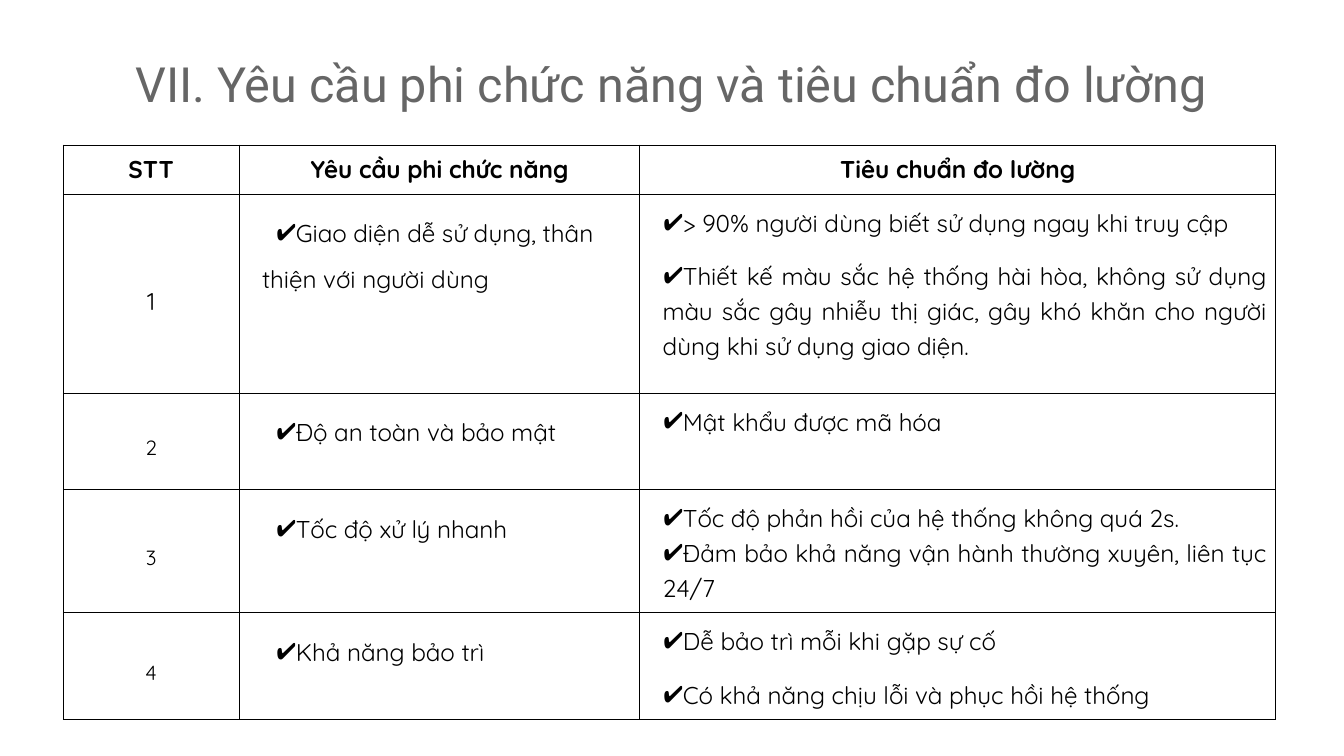
from dataclasses import dataclass

from lxml.etree import SubElement
from pptx import Presentation
from pptx.dml.color import RGBColor
from pptx.enum.text import MSO_ANCHOR, PP_ALIGN
from pptx.oxml.ns import qn
from pptx.util import Inches, Pt


@dataclass(frozen=True)
class Theme:
    title_font: str = "Roboto"
    body_font: str = "Quicksand"
    title_color: str = "666666"
    text_color: str = "000000"
    title_size: float = 26
    body_size: float = 13
    number_size: float = 11
    bullet_percent: int = 120
    border_width: float = 0.5
    cell_margin: float = 0.07


THEME = Theme()
SLIDE_WIDTH = 10
SLIDE_HEIGHT = SLIDE_WIDTH * 9 / 16
COLUMNS = (1.31, 2.98, 4.73)
ROWS = (0.35, 1.48, 0.72, 0.86, 0.75)

TITLE = "VII. Yêu cầu phi chức năng và tiêu chuẩn đo lường"
HEADERS = ("STT", "Yêu cầu phi chức năng", "Tiêu chuẩn đo lường")

# Requirement, its measures, and the gap in points between the measures
REQUIREMENTS = (
    ("Giao diện dễ sử dụng, thân thiện với người dùng",
     ("> 90% người dùng biết sử dụng ngay khi truy cập",
      "Thiết kế màu sắc hệ thống hài hòa, không sử dụng màu sắc gây nhiễu "
      "thị giác, gây khó khăn cho người dùng khi sử dụng giao diện."), 10),
    ("Độ an toàn và bảo mật", ("Mật khẩu được mã hóa ",), 0),
    ("Tốc độ xử lý nhanh",
     ("Tốc độ phản hồi của hệ thống không quá 2s.",
      "Đảm bảo khả năng vận hành thường xuyên, liên tục 24/7"), 0),
    ("Khả năng bảo trì",
     ("Dễ bảo trì mỗi khi gặp sự cố",
      "Có khả năng chịu lỗi và phục hồi hệ thống"), 10),
)

# Paragraph formats by column role
HEADER = {"alignment": PP_ALIGN.CENTER}
NUMBER = {"alignment": PP_ALIGN.CENTER, "line_spacing": 1.5}
REQUIREMENT = {"alignment": PP_ALIGN.LEFT, "line_spacing": 1.5}
MEASURE = {"alignment": PP_ALIGN.JUSTIFY, "line_spacing": 1.15}


def apply(target, values):
    for name, value in values.items():
        setattr(target, name, value)


def set_margins(target, horizontal, vertical):
    apply(target, {"margin_left": Inches(horizontal), "margin_right": Inches(horizontal),
                   "margin_top": Inches(vertical), "margin_bottom": Inches(vertical)})


def write(paragraph, text, form, font, size, color, bold=False):
    apply(paragraph, form)
    run = paragraph.add_run()
    run.text = text
    apply(run.font, {"name": font, "size": Pt(size), "bold": bold})
    run.font.color.rgb = RGBColor.from_string(color)


def add_color(parent, color):
    SubElement(parent, qn("a:srgbClr"), val=color)


def add_check_bullet(paragraph, first_line):
    properties = paragraph._p.get_or_add_pPr()
    properties.set("marL", str(Inches(0.1)))
    properties.set("indent", str(Inches(first_line)))
    add_color(SubElement(properties, qn("a:buClr")), THEME.text_color)
    SubElement(properties, qn("a:buSzPct"), val=str(THEME.bullet_percent * 1000))
    SubElement(properties, qn("a:buChar"), char="✔")


def style_cell(cell, anchor):
    cell.vertical_anchor = anchor
    set_margins(cell, THEME.cell_margin, THEME.cell_margin)
    properties = cell._tc.get_or_add_tcPr()
    for side in ("lnL", "lnR", "lnT", "lnB"):
        line = SubElement(properties, qn(f"a:{side}"), w=str(Pt(THEME.border_width)))
        add_color(SubElement(line, qn("a:solidFill")), THEME.text_color)
    cell.fill.background()


def fill_cell(cell, texts, form, anchor=MSO_ANCHOR.TOP, size=THEME.body_size,
              bold=False, first_line=None, gap=0):
    style_cell(cell, anchor)
    frame = cell.text_frame
    for index, text in enumerate(texts):
        paragraph = frame.add_paragraph() if index else frame.paragraphs[0]
        write(paragraph, text, form, THEME.body_font, size, THEME.text_color, bold)
        if index and gap:
            paragraph.space_before = Pt(gap)
        if first_line is not None:
            add_check_bullet(paragraph, first_line)


def add_title(slide):
    title = slide.shapes.title
    apply(title, {"left": Inches(0.34), "top": Inches(0.33),
                  "width": Inches(SLIDE_WIDTH - 2 * 0.34), "height": Inches(0.63)})
    frame = title.text_frame
    apply(frame, {"word_wrap": True, "vertical_anchor": MSO_ANCHOR.MIDDLE})
    set_margins(frame, 0.04, 0.02)
    write(frame.paragraphs[0], TITLE, {"alignment": PP_ALIGN.CENTER, "line_spacing": 0.9},
          THEME.title_font, THEME.title_size, THEME.title_color)


def add_requirements_table(slide):
    table = slide.shapes.add_table(
        len(ROWS), len(COLUMNS), Inches(0.47), Inches(1.08),
        Inches(sum(COLUMNS)), Inches(sum(ROWS))).table
    apply(table, {"first_row": False, "horz_banding": False})
    for column, width in zip(table.columns, COLUMNS):
        column.width = Inches(width)
    for row, height in zip(table.rows, ROWS):
        row.height = Inches(height)

    # Header row
    for column, text in enumerate(HEADERS):
        fill_cell(table.cell(0, column), [text], HEADER, MSO_ANCHOR.BOTTOM, bold=True)

    # One row for each requirement
    for row, (requirement, measures, gap) in enumerate(REQUIREMENTS, start=1):
        number_size = THEME.body_size if row == 1 else THEME.number_size
        fill_cell(table.cell(row, 0), [str(row)], NUMBER, MSO_ANCHOR.MIDDLE, number_size)
        fill_cell(table.cell(row, 1), [requirement], REQUIREMENT, first_line=0.11)
        fill_cell(table.cell(row, 2), measures, MEASURE, first_line=0.01, gap=gap)


def main():
    presentation = Presentation()
    apply(presentation, {"slide_width": Inches(SLIDE_WIDTH),
                         "slide_height": Inches(SLIDE_HEIGHT)})
    slide = presentation.slides.add_slide(presentation.slide_layouts[5])
    add_requirements_table(slide)
    add_title(slide)
    presentation.save("out.pptx")


if __name__ == "__main__":
    main()
